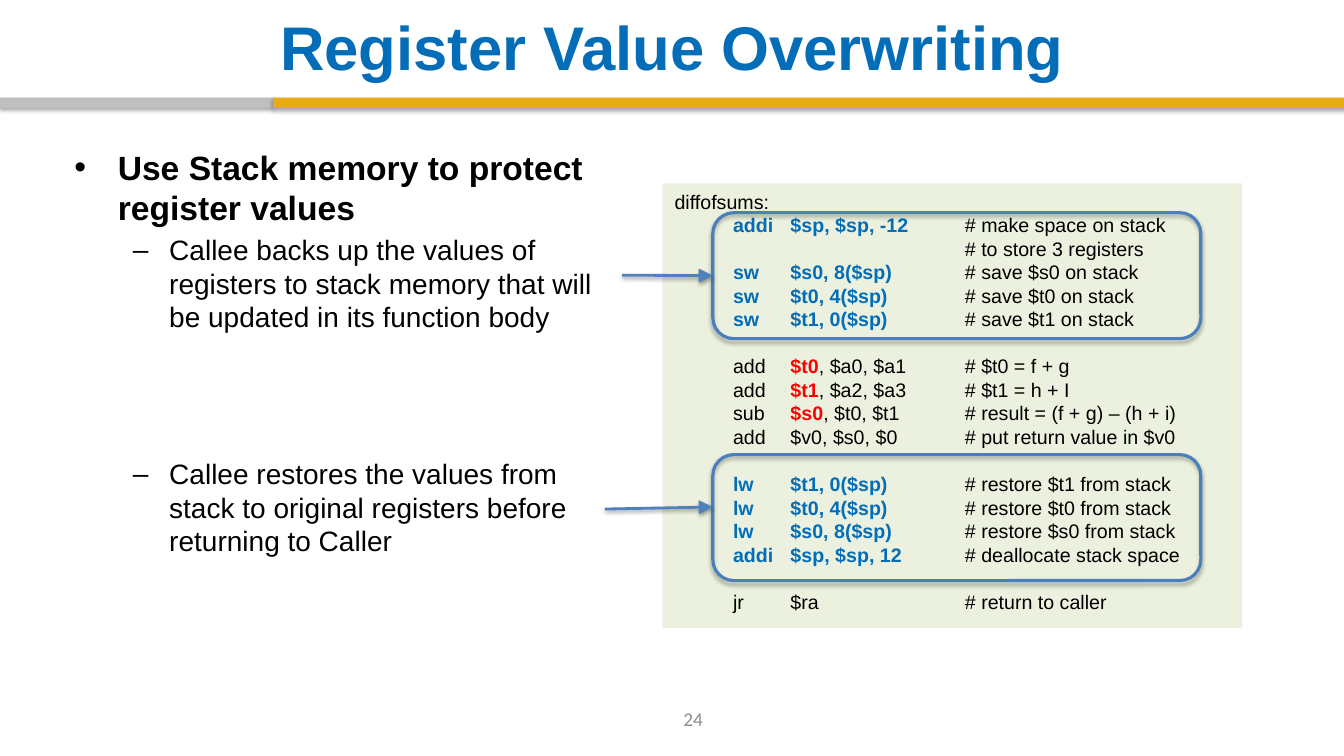
"""Build the slide on saving registers to the stack."""
from lxml.etree import SubElement
from pptx import Presentation
from pptx.dml.color import RGBColor
from pptx.enum.shapes import MSO_CONNECTOR, MSO_SHAPE
from pptx.enum.text import MSO_ANCHOR, PP_ALIGN
from pptx.oxml.ns import qn
from pptx.util import Pt

PX = 9144
BLUE = RGBColor(0x03, 0x6D, 0xB7)
GOLD = RGBColor(0xE7, 0xAC, 0x11)
SILVER = RGBColor(0xBF, 0xBF, 0xBF)
GRAY = RGBColor(0x8C, 0x8C, 0x8C)
BLACK = RGBColor(0, 0, 0)
RED = RGBColor(0xFF, 0, 0)
GREEN = RGBColor(0xEB, 0xF1, 0xDE)
FRAME = RGBColor(0x4B, 0x7E, 0xBC)
ARROW = RGBColor(0x4F, 0x81, 0xBD)


def style(run, size, color, bold=False, face="Arial"):
    font = run.font
    font.size, font.bold, font.name = Pt(size), bold, face
    font.color.rgb = color


def shade(effect, alpha, dist):
    glow = SubElement(effect, qn("a:outerShdw"), blurRad=str(Pt(3.1)), dist=str(Pt(dist)),
                      dir="5400000", rotWithShape="0")
    tint = SubElement(glow, qn("a:srgbClr"), val="000000")
    SubElement(tint, qn("a:alpha"), val=str(alpha * 1000))


deck = Presentation()
deck.slide_width, deck.slide_height = 1333 * PX, 750 * PX
slide = deck.slides.add_slide(deck.slide_layouts[6])
shapes = slide.shapes

for left, width, color in [(0, 271, SILVER), (271, 1062, GOLD)]:
    bar = shapes.add_shape(MSO_SHAPE.RECTANGLE, left * PX, 97 * PX, width * PX, 10 * PX)
    bar.fill.solid()
    bar.fill.fore_color.rgb = color
    bar.line.fill.background()
    bar.shadow.inherit = False
    shade(bar._element.spPr.find(qn("a:effectLst")), 35, 1.8)

LABELS = [
    ("Register Value Overwriting", (67, 8, 1200, 76), 44, BLUE, True, "Arial"),
    ("24", (532, 693, 311, 40), 13.8, GRAY, False, "Calibri"),
]
for text, area, size, color, bold, face in LABELS:
    frame = shapes.add_textbox(*[n * PX for n in area]).text_frame
    frame.text = text
    frame.word_wrap = True
    frame.vertical_anchor = MSO_ANCHOR.MIDDLE
    para = frame.paragraphs[0]
    para.alignment = PP_ALIGN.CENTER
    style(para.runs[0], size, color, bold, face)

POINTS = [
    ("Use Stack memory to protect register values", "•", 43, 43, 24, 28.6, 0),
    ("Callee backs up the values of registers to stack memory that will "
     "be updated in its function body", "–", 94, 36, 20, 24, 4),
    ("Callee restores the values from stack to original registers before "
     "returning to Caller", "–", 94, 36, 20, 24, 88),
]
body = shapes.add_textbox(64 * PX, 141 * PX, 543 * PX, 543 * PX).text_frame
body.word_wrap = True
for text, mark, margin, hang, size, pitch, gap in POINTS:
    para = body.paragraphs[0] if mark == "•" else body.add_paragraph()
    para.text = text
    props = para._p.get_or_add_pPr()
    props.set("marL", str(margin * PX))
    props.set("indent", str(-hang * PX))
    SubElement(props, qn("a:buFont"), typeface="Arial")
    SubElement(props, qn("a:buChar"), char=mark)
    para.line_spacing = Pt(pitch)
    para.space_before = Pt(gap)
    style(para.runs[0], size, BLACK, mark == "•")

STACK = [
    ("addi", "$sp", ", $sp, -12", "# make space on stack"),
    ("", "", "", "# to store 3 registers"),
    ("sw", "$s0", ", 8($sp)", "# save $s0 on stack"),
    ("sw", "$t0", ", 4($sp)", "# save $t0 on stack"),
    ("sw", "$t1", ", 0($sp)", "# save $t1 on stack"),
]
MATH = [
    ("add", "$t0", ", $a0, $a1", "# $t0 = f + g"),
    ("add", "$t1", ", $a2, $a3", "# $t1 = h + I"),
    ("sub", "$s0", ", $t0, $t1", "# result = (f + g) – (h + i)"),
    ("add", "$v0", ", $s0, $0", "# put return value in $v0"),
]
UNSTACK = [
    ("lw", "$t1", ", 0($sp)", "# restore $t1 from stack"),
    ("lw", "$t0", ", 4($sp)", "# restore $t0 from stack"),
    ("lw", "$s0", ", 8($sp)", "# restore $s0 from stack"),
    ("addi", "$sp", ", $sp, 12", "# deallocate stack space"),
]
BACK = [("jr", "$ra", "", "# return to caller")]
HOT = {"$t0", "$t1", "$s0"}
PITCH = 16.8

panel = shapes.add_shape(MSO_SHAPE.RECTANGLE, 657 * PX, 182 * PX, 575 * PX, 441 * PX)
panel.shadow.inherit = False
panel.fill.solid()
panel.fill.fore_color.rgb = GREEN
panel.line.fill.background()
code = panel.text_frame
code.word_wrap = True
code.vertical_anchor = MSO_ANCHOR.TOP
code.margin_left = code.margin_right = 12 * PX
code.margin_top = code.margin_bottom = 6 * PX
code.text = "diffofsums:"
head = code.paragraphs[0]
head.alignment = PP_ALIGN.LEFT
head.line_spacing = Pt(PITCH)
style(head.runs[0], 14, BLACK)
for block, main, gap in [(STACK, BLUE, 0), (MATH, BLACK, PITCH),
                         (UNSTACK, BLUE, PITCH), (BACK, BLACK, PITCH)]:
    for row, (verb, dest, rest, note) in enumerate(block):
        para = code.add_paragraph()
        tabs = SubElement(para._p.get_or_add_pPr(), qn("a:tabLst"))
        for stop in (58, 115, 288):
            SubElement(tabs, qn("a:tab"), pos=str(stop * PX), algn="l")
        para.alignment = PP_ALIGN.LEFT
        para.line_spacing = Pt(PITCH)
        para.space_before = Pt(0 if row else gap)
        key = RED if main == BLACK and dest in HOT else main
        for text, color in [(f"\t{verb}\t", main), (dest, key), (rest, main), (f"\t{note}", BLACK)]:
            if text:
                run = para.add_run()
                run.text = text
                style(run, 14, color, color != BLACK)

for top, start, end in [(211, (617, 273), (707, 273)), (451, (600, 505), (707, 503))]:
    ring = shapes.add_shape(MSO_SHAPE.ROUNDED_RECTANGLE, 707 * PX, top * PX, 484 * PX, 125 * PX)
    ring.fill.background()
    ring.line.color.rgb = FRAME
    ring.line.width = Pt(2.25)
    ring.shadow.inherit = False
    shade(ring._element.spPr.find(qn("a:effectLst")), 35, 1.8)
    arrow = shapes.add_connector(MSO_CONNECTOR.STRAIGHT, *[n * PX for n in start + end])
    arrow.line.color.rgb = ARROW
    arrow.line.width = Pt(2)
    SubElement(arrow.line._get_or_add_ln(), qn("a:tailEnd"), type="triangle", w="lg", len="lg")
    shade(SubElement(arrow._element.spPr, qn("a:effectLst")), 38, 1.6)
    if start[1] == end[1]:
        arrow.end_connect(ring, 1)

deck.save("out.pptx")
